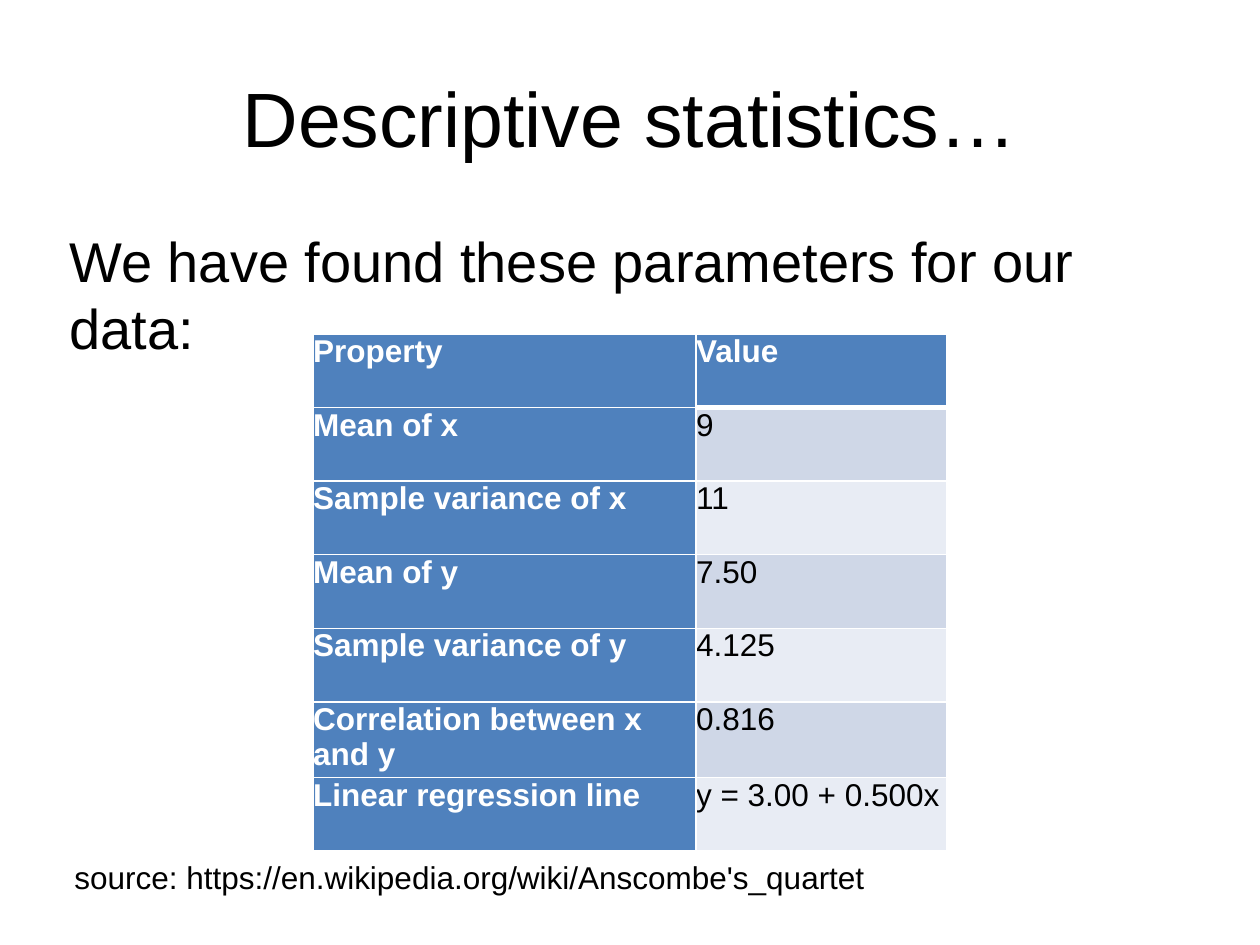
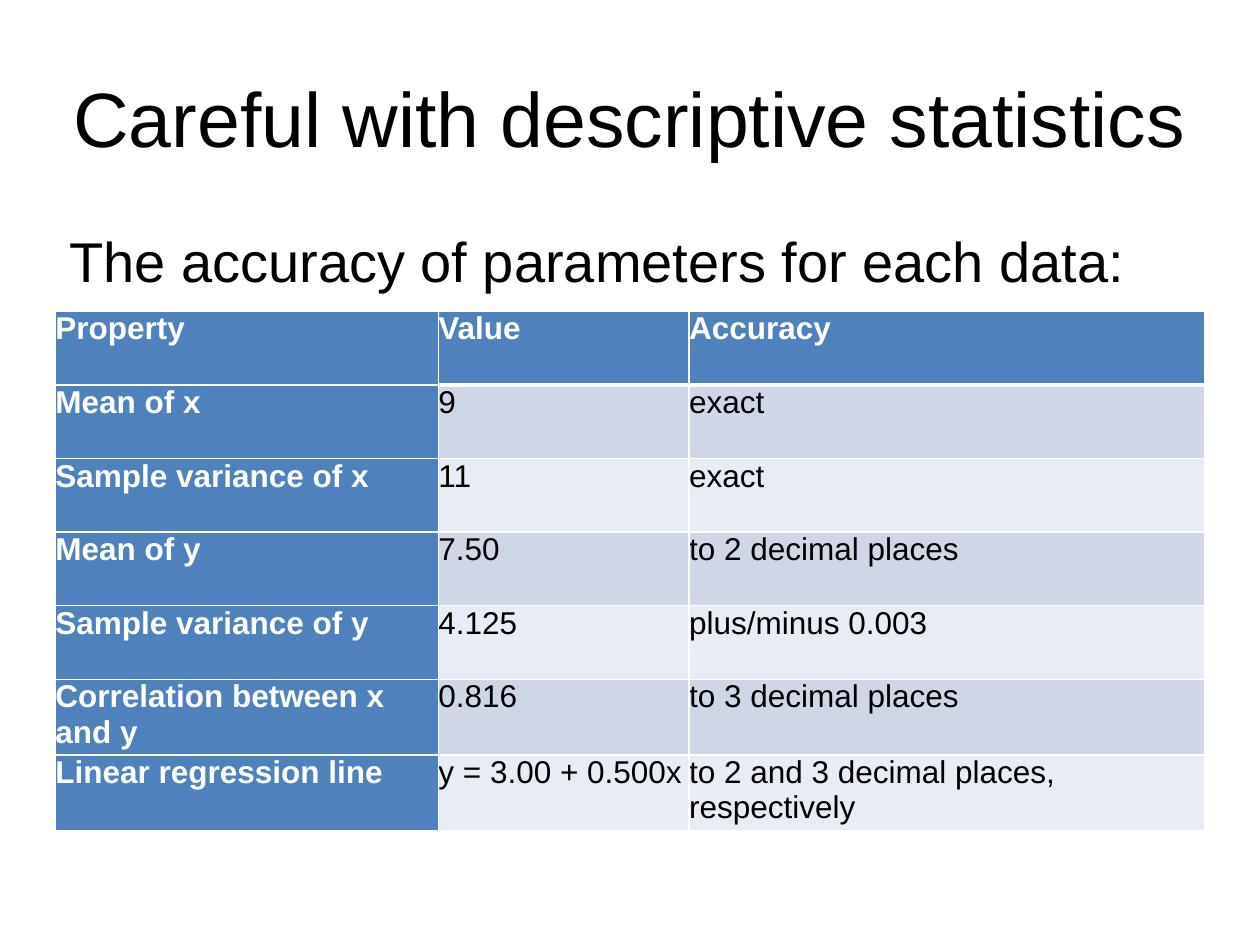
from lxml import etree
from pptx import Presentation
from pptx.dml.color import RGBColor
from pptx.enum.text import MSO_ANCHOR, MSO_AUTO_SIZE, PP_ALIGN
from pptx.oxml.ns import qn
from pptx.util import Inches, Pt

CENTER = PP_ALIGN.CENTER
MIDDLE = MSO_ANCHOR.MIDDLE
NO_AUTOFIT = MSO_AUTO_SIZE.NONE

FONT = "Arial"
COLORS = {
    "text": "000000",
    "white": "FFFFFF",
    "header": "4F81BD",
    "band_dark": "CFD7E7",
    "band_light": "E8ECF4",
}
INSET = Inches(0.05)
TABLE_HEIGHT = 4.09
COLUMN_WIDTHS = [3.04, 1.99, 4.09]

ROWS = [
    ["Property", "Value", "Accuracy"],
    ["Mean of x", "9", "exact"],
    ["Sample variance of x", "11", "exact"],
    ["Mean of y", "7.50", "to 2 decimal places"],
    ["Sample variance of y", "4.125", "plus/minus 0.003"],
    ["Correlation between x and y", "0.816", "to 3 decimal places"],
    ["Linear regression line", "y = 3.00 + 0.500x", "to 2 and 3 decimal places, respectively"],
]

SLIDES = [
    {
        "title": "Descriptive statistics…",
        "lead": "We have found these parameters for our data:",
        "table_top": 2.65,
        "columns": 2,
        "source": "source: https://en.wikipedia.org/wiki/Anscombe's_quartet",
    },
    {
        "title": "Careful with descriptive statistics",
        "lead": "The accuracy of parameters for each data:",
        "table_top": 2.47,
        "columns": 3,
        "source": None,
    },
]


def write_text(frame, text, size, color="text", bold=False, inset=INSET):
    frame.margin_left = frame.margin_right = inset
    frame.margin_top = frame.margin_bottom = inset
    run = frame.paragraphs[0].add_run()
    run.text = text
    run.font.name = FONT
    run.font.size = Pt(size)
    run.font.bold = bold
    run.font.color.rgb = RGBColor.from_string(COLORS[color])


def add_borders(cell, widths):
    """Draw white borders; widths maps each side (L, R, T, B) to points."""
    properties = cell._tc.get_or_add_tcPr()
    for side, width in widths.items():
        line = etree.SubElement(properties, qn(f"a:ln{side}"), w=str(Pt(width)))
        fill = etree.SubElement(line, qn("a:solidFill"))
        etree.SubElement(fill, qn("a:srgbClr"), val=COLORS["white"])


presentation = Presentation()
presentation.slide_width = Inches(10)
presentation.slide_height = Inches(7.5)
title_only = presentation.slide_layouts[5]

for content in SLIDES:
    slide = presentation.slides.add_slide(title_only)

    title = slide.shapes.title
    title.left, title.top = Inches(0.5), Inches(0.3)
    title.width, title.height = Inches(9), Inches(1.25)
    title.text_frame.vertical_anchor = MIDDLE
    title.text_frame.auto_size = NO_AUTOFIT
    write_text(title.text_frame, content["title"], 44)
    title.text_frame.paragraphs[0].alignment = CENTER

    lead = slide.shapes.add_textbox(Inches(0.5), Inches(1.75), Inches(9), Inches(4.95))
    lead.text_frame.word_wrap = True
    write_text(lead.text_frame, content["lead"], 32)

    widths = COLUMN_WIDTHS[:content["columns"]]
    table_left = (10 - sum(widths)) / 2
    table = slide.shapes.add_table(
        len(ROWS), len(widths), Inches(table_left), Inches(content["table_top"]),
        Inches(sum(widths)), Inches(TABLE_HEIGHT)).table
    for column, width in zip(table.columns, widths):
        column.width = Inches(width)

    for row_index, row in enumerate(ROWS):
        for column_index, text in enumerate(row[:len(widths)]):
            cell = table.cell(row_index, column_index)
            is_header = row_index == 0 or column_index == 0
            band = "band_dark" if row_index % 2 else "band_light"
            write_text(cell.text_frame, text, 18, "white" if is_header else "text", is_header)
            cell.margin_left = cell.margin_right = 0
            cell.margin_top = cell.margin_bottom = 0
            top = 3 if row_index == 1 and column_index > 0 else 1
            bottom = 3 if row_index == 0 and column_index > 0 else 1
            add_borders(cell, {"L": 1, "R": 1, "T": top, "B": bottom})
            cell.fill.solid()
            cell.fill.fore_color.rgb = RGBColor.from_string(COLORS["header" if is_header else band])

    if content["source"]:
        source = slide.shapes.add_textbox(Inches(0.54), Inches(6.76), Inches(6.39), Inches(0.38))
        source.text_frame.word_wrap = False
        write_text(source.text_frame, content["source"], 18)

presentation.save("out.pptx")
